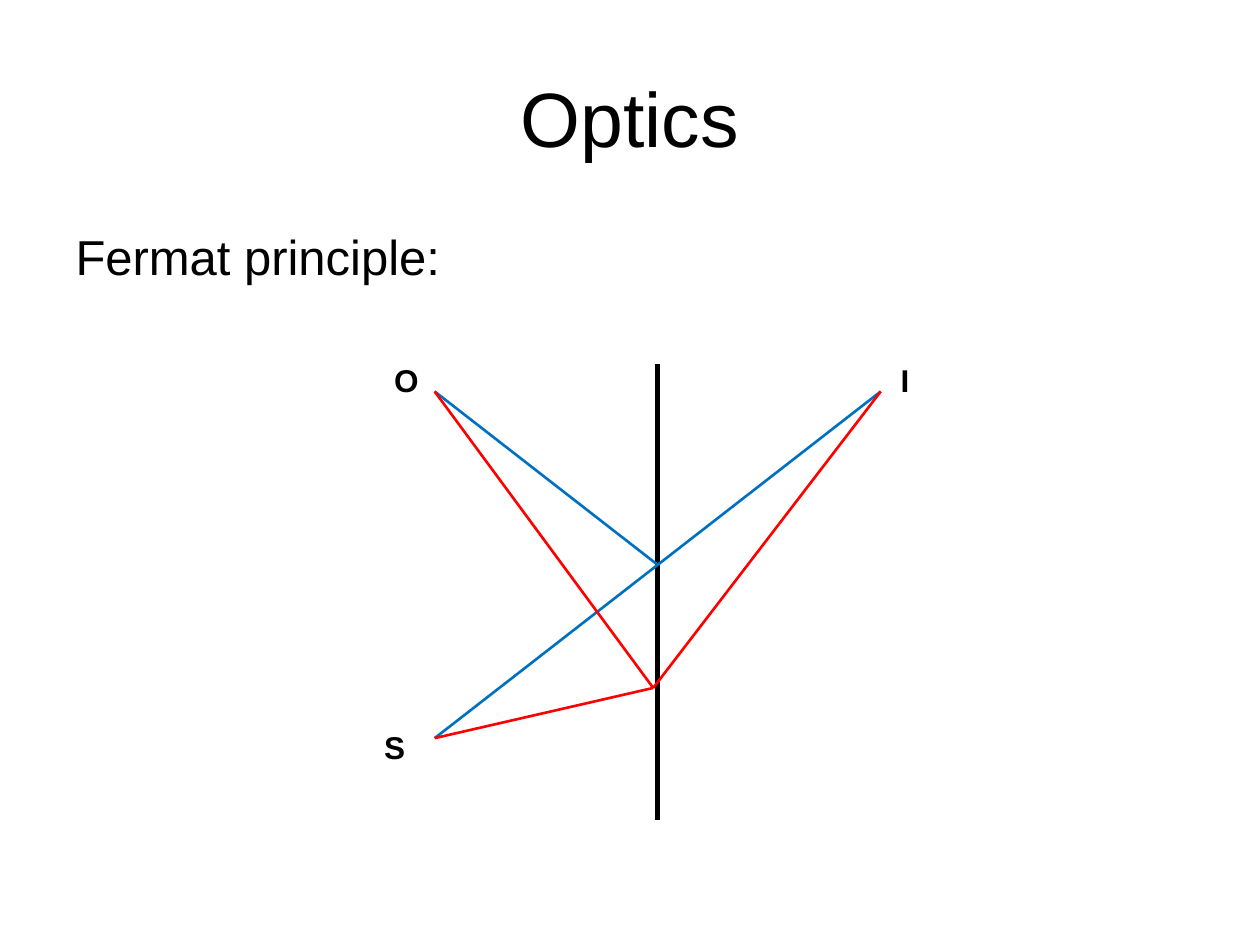
from dataclasses import dataclass

from lxml.etree import SubElement
from pptx import Presentation
from pptx.dml.color import RGBColor
from pptx.enum.shapes import MSO_CONNECTOR
from pptx.enum.text import MSO_ANCHOR, MSO_AUTO_SIZE, PP_ALIGN
from pptx.oxml.ns import qn
from pptx.util import Inches, Pt


@dataclass(frozen=True)
class Theme:
    font: str = "Arial"
    ink: str = "000000"
    shortest_path: str = "0070C0"
    longer_path: str = "FF0000"
    title_size: int = 44
    body_size: int = 28
    label_size: int = 18
    mirror_width: float = 3
    ray_width: float = 1.5


THEME = Theme()


@dataclass(frozen=True)
class Box:
    left: float
    top: float
    width: float
    height: float

    def point(self, across, down):
        """Slide position, in inches, of a point given as shares of the box."""
        return self.left + across * self.width, self.top + down * self.height


def place(shape, box):
    shape.left, shape.top = Inches(box.left), Inches(box.top)
    shape.width, shape.height = Inches(box.width), Inches(box.height)


def add_run(paragraph, text, size, bold=False):
    run = paragraph.add_run()
    run.text = text
    run.font.name = THEME.font
    run.font.size = Pt(size)
    run.font.bold = bold
    run.font.color.rgb = RGBColor.from_string(THEME.ink)


def fill_title(title, box, text):
    place(title, box)
    title.text_frame.vertical_anchor = MSO_ANCHOR.MIDDLE
    paragraph = title.text_frame.paragraphs[0]
    paragraph.alignment = PP_ALIGN.CENTER
    add_run(paragraph, text, THEME.title_size)


def fill_body(body, box, text):
    place(body, box)
    paragraph = body.text_frame.paragraphs[0]
    properties = paragraph._p.get_or_add_pPr()
    properties.set("marL", str(Inches(0.38)))
    properties.set("indent", str(-Inches(0.38)))
    SubElement(properties, qn("a:buNone"))
    paragraph.space_before = Pt(0)
    add_run(paragraph, text, THEME.body_size)


def add_line(slide, start, end, color, width):
    line = slide.shapes.add_connector(
        MSO_CONNECTOR.STRAIGHT, *map(Inches, (*start, *end)))
    line.line.color.rgb = RGBColor.from_string(color)
    line.line.width = Pt(width)
    SubElement(line._element.spPr, qn("a:effectLst"))


def add_label(slide, text, box):
    label = slide.shapes.add_textbox(0, 0, 0, 0)
    place(label, box)
    frame = label.text_frame
    frame.word_wrap = False
    frame.auto_size = MSO_AUTO_SIZE.SHAPE_TO_FIT_TEXT
    add_run(frame.paragraphs[0], text, THEME.label_size, bold=True)


def draw_reflection(slide, box):
    """Mirror down the middle, with a shortest and a longer path to it."""
    object_point = box.point(0, 0.06)
    source = box.point(0, 0.82)
    image = box.point(1, 0.06)
    reflection = box.point(0.5, 0.44)
    detour = box.point(0.49, 0.71)

    add_line(slide, box.point(0.5, 0), box.point(0.5, 1),
             THEME.ink, THEME.mirror_width)
    rays = [
        (object_point, reflection, THEME.shortest_path),
        (source, image, THEME.shortest_path),
        (source, detour, THEME.longer_path),
        (detour, object_point, THEME.longer_path),
        (detour, image, THEME.longer_path),
    ]
    for start, end, color in rays:
        add_line(slide, start, end, color, THEME.ray_width)

    labels = [
        ("S", source, -0.5, -0.13, 0.37),
        ("O", object_point, -0.42, -0.29, 0.4),
        ("I", image, 0.06, -0.29, 0.27),
    ]
    for text, (x, y), shift_x, shift_y, width in labels:
        add_label(slide, text, Box(x + shift_x, y + shift_y, width, 0.4))


def main():
    presentation = Presentation()
    presentation.slide_width, presentation.slide_height = Inches(10), Inches(7.5)
    slide = presentation.slides.add_slide(presentation.slide_layouts[1])
    fill_title(slide.shapes.title, Box(0.5, 0.3, 9, 1.25), "Optics")
    fill_body(slide.placeholders[1], Box(0.5, 1.75, 4.42, 4.95),
              "Fermat principle:")
    draw_reflection(slide, Box(3.45, 2.89, 3.54, 3.62))
    presentation.save("out.pptx")


if __name__ == "__main__":
    main()
